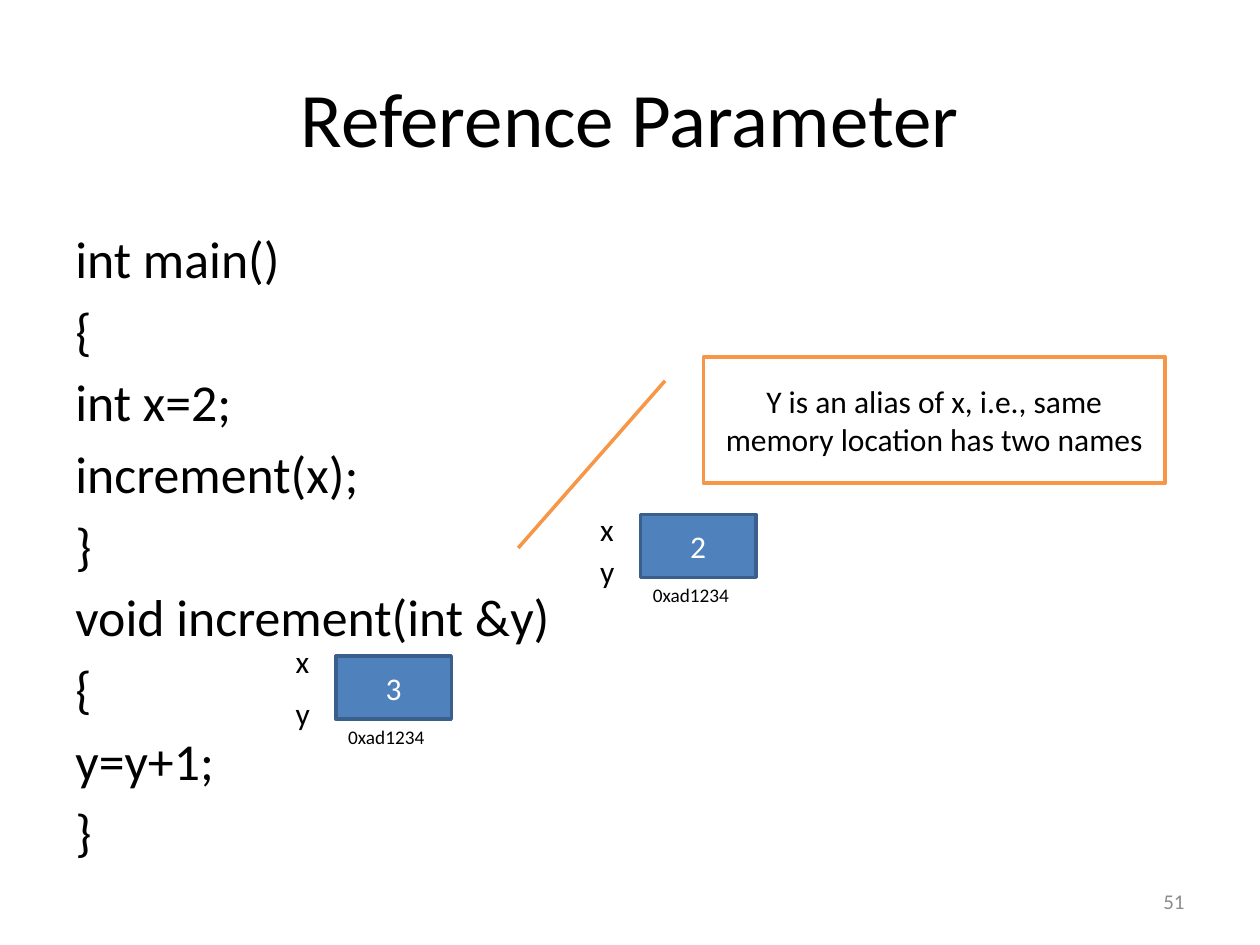
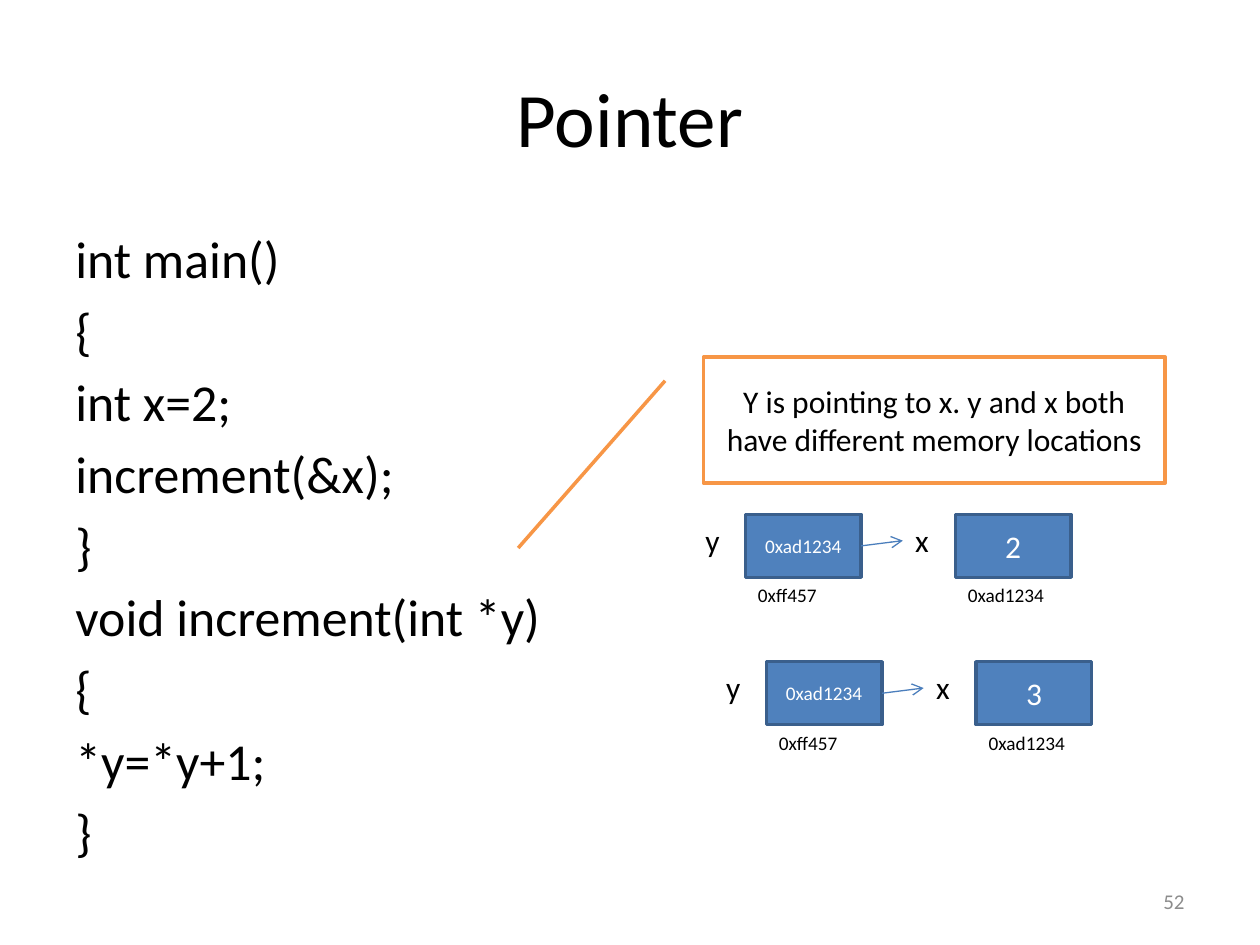
from dataclasses import dataclass

from lxml.etree import SubElement
from pptx import Presentation
from pptx.dml.color import RGBColor
from pptx.enum.shapes import MSO_CONNECTOR, MSO_SHAPE
from pptx.enum.text import MSO_ANCHOR, MSO_AUTO_SIZE, PP_ALIGN
from pptx.oxml.ns import qn
from pptx.shapes.autoshape import Shape
from pptx.slide import Slide
from pptx.util import Cm, Pt

COLORS = {
    "text": "000000",
    "page_number": "8C8C8C",
    "paper": "FFFFFF",
    "callout_line": "F79646",
    "cell": "4F81BD",
    "cell_line": "3A5F8C",
    "arrow": "4B7EBC",
}
FONT = "Calibri"
CALLOUT_ADJUSTMENTS = (0.188, -0.083, 1.515, -0.401)
CELL_WIDTH, CELL_HEIGHT = 2.33, 1.27
LABEL_OFFSET = 1.06
POINTER_STEP = 4.23


@dataclass(frozen=True)
class TextStyle:
    size: float
    color: str = "text"
    align: PP_ALIGN = PP_ALIGN.LEFT
    anchor: MSO_ANCHOR = MSO_ANCHOR.TOP
    space_before: float = 0


TITLE = TextStyle(44, align=PP_ALIGN.CENTER, anchor=MSO_ANCHOR.MIDDLE)
CODE = TextStyle(29.6, space_before=5.4)
PAGE_NUMBER = TextStyle(12, "page_number", PP_ALIGN.RIGHT, MSO_ANCHOR.MIDDLE)
CALLOUT = TextStyle(18, align=PP_ALIGN.CENTER, anchor=MSO_ANCHOR.MIDDLE)
VALUE = TextStyle(18, "paper", PP_ALIGN.CENTER, MSO_ANCHOR.MIDDLE)
STORED_ADDRESS = TextStyle(11, "paper", PP_ALIGN.CENTER, MSO_ANCHOR.MIDDLE)
NAME = TextStyle(18)
ADDRESS = TextStyle(11)


@dataclass(frozen=True)
class MemoryCell:
    """A variable's box, with its names as (text, offset below the box top)."""
    left: float
    top: float
    value: str
    address: str
    names: tuple[tuple[str, float], ...]
    style: TextStyle = VALUE


@dataclass(frozen=True)
class Pointer:
    """Cell y, which holds the address of cell x to its right."""
    left: float
    top: float
    target_value: str


@dataclass(frozen=True)
class Lesson:
    title: str
    code: tuple[str, ...]
    number: int
    remark: str
    cells: tuple[MemoryCell, ...] = ()
    pointers: tuple[Pointer, ...] = ()


LESSONS = (
    Lesson(
        "Reference Parameter",
        ("int main()", "{", "int x=2;", "increment(x);", "}",
         "void increment(int &y)", "{", "y=y+1;", "}"),
        51,
        "Y is an alias of x, i.e., same memory location has two names",
        cells=(
            MemoryCell(12.91, 10.37, "2", "0xad1234", (("x", -0.21), ("y", 0.63))),
            MemoryCell(6.77, 13.23, "3", "0xad1234", (("x", -0.41), ("y", 0.63))),
        ),
    ),
    Lesson(
        "Pointer",
        ("int main()", "{", "int x=2;", "increment(&x);", "}",
         "void increment(int *y)", "{", "*y=*y+1;", "}"),
        52,
        "Y is pointing to x. y and x both have different memory locations",
        pointers=(Pointer(15.03, 10.37, "2"), Pointer(15.45, 13.34, "3")),
    ),
)


def color(name: str) -> RGBColor:
    return RGBColor.from_string(COLORS[name])


def write(box: Shape, lines: tuple[str, ...], style: TextStyle) -> None:
    frame = box.text_frame
    frame.word_wrap = True
    frame.vertical_anchor = style.anchor
    for index, line in enumerate(lines):
        para = frame.add_paragraph() if index else frame.paragraphs[0]
        para.alignment = style.align
        para.space_before = Pt(style.space_before)
        span = para.add_run()
        span.text = line
        span.font.color.rgb = color(style.color)
        for attribute, value in {"name": FONT, "size": Pt(style.size)}.items():
            setattr(span.font, attribute, value)


def add_text(page: Slide, left: float, top: float, width: float, height: float,
             lines: tuple[str, ...], style: TextStyle, grow: bool = False) -> Shape:
    box = page.shapes.add_textbox(Cm(left), Cm(top), Cm(width), Cm(height))
    write(box, lines, style)
    if grow:
        box.text_frame.auto_size = MSO_AUTO_SIZE.SHAPE_TO_FIT_TEXT
    return box


def add_box(page: Slide, kind: MSO_SHAPE, left: float, top: float, width: float,
            height: float, fill: str, line: str, text: str, style: TextStyle) -> Shape:
    box = page.shapes.add_shape(kind, Cm(left), Cm(top), Cm(width), Cm(height))
    box.shadow.inherit = False
    box.fill.solid()
    box.fill.fore_color.rgb = color(fill)
    box.line.color.rgb = color(line)
    box.line.width = Pt(2)
    write(box, (text,), style)
    return box


def add_cell(page: Slide, cell: MemoryCell) -> tuple[Shape, list[Shape]]:
    """Draw a memory cell and return its box and its name labels."""
    box = add_box(page, MSO_SHAPE.RECTANGLE, cell.left, cell.top, CELL_WIDTH,
                  CELL_HEIGHT, "cell", "cell_line", cell.value, cell.style)
    labels = [
        add_text(page, cell.left - LABEL_OFFSET, cell.top + offset, 0.85, 1.06,
                 (name,), NAME, grow=True)
        for name, offset in cell.names
    ]
    add_text(page, cell.left, cell.top + CELL_HEIGHT, CELL_WIDTH, 0.73,
             (cell.address,), ADDRESS, grow=True)
    return box, labels


def add_pointer(page: Slide, pointer: Pointer) -> None:
    target_address = "0xad1234"
    source, _ = add_cell(page, MemoryCell(
        pointer.left, pointer.top, target_address, "0xff457", (("y", 0),), STORED_ADDRESS))
    _, labels = add_cell(page, MemoryCell(
        pointer.left + POINTER_STEP, pointer.top, pointer.target_value,
        target_address, (("x", 0),)))
    arrow = page.shapes.add_connector(MSO_CONNECTOR.STRAIGHT, 0, 0, 0, 0)
    arrow.begin_connect(source, 3)
    arrow.end_connect(labels[0], 1)
    arrow.line.color.rgb = color("arrow")
    arrow.line.width = Pt(0.75)
    SubElement(arrow.line._get_or_add_ln(), qn("a:tailEnd"), type="arrow")
    SubElement(arrow._element.spPr, qn("a:effectLst"))


def add_lesson(deck: Presentation, lesson: Lesson) -> None:
    page = deck.slides.add_slide(deck.slide_layouts[5])
    title = page.shapes.title
    place = {"left": 1.27, "top": 0.76, "width": 22.86, "height": 3.18}
    for attribute, value in place.items():
        setattr(title, attribute, Cm(value))
    write(title, (lesson.title,), TITLE)
    add_text(page, 1.27, 4.45, 22.86, 12.57, lesson.code, CODE)
    add_text(page, 18.2, 17.65, 5.93, 1.02, (str(lesson.number),), PAGE_NUMBER)
    callout = add_box(page, MSO_SHAPE.LINE_CALLOUT_1, 14.18, 7.2, 9.31, 2.54,
                      "paper", "callout_line", lesson.remark, CALLOUT)
    for index, value in enumerate(CALLOUT_ADJUSTMENTS):
        callout.adjustments[index] = value
    for cell in lesson.cells:
        add_cell(page, cell)
    for pointer in lesson.pointers:
        add_pointer(page, pointer)


def main() -> None:
    deck = Presentation()
    deck.slide_width, deck.slide_height = Cm(25.4), Cm(19.05)
    for lesson in LESSONS:
        add_lesson(deck, lesson)
    deck.save("out.pptx")


if __name__ == "__main__":
    main()
